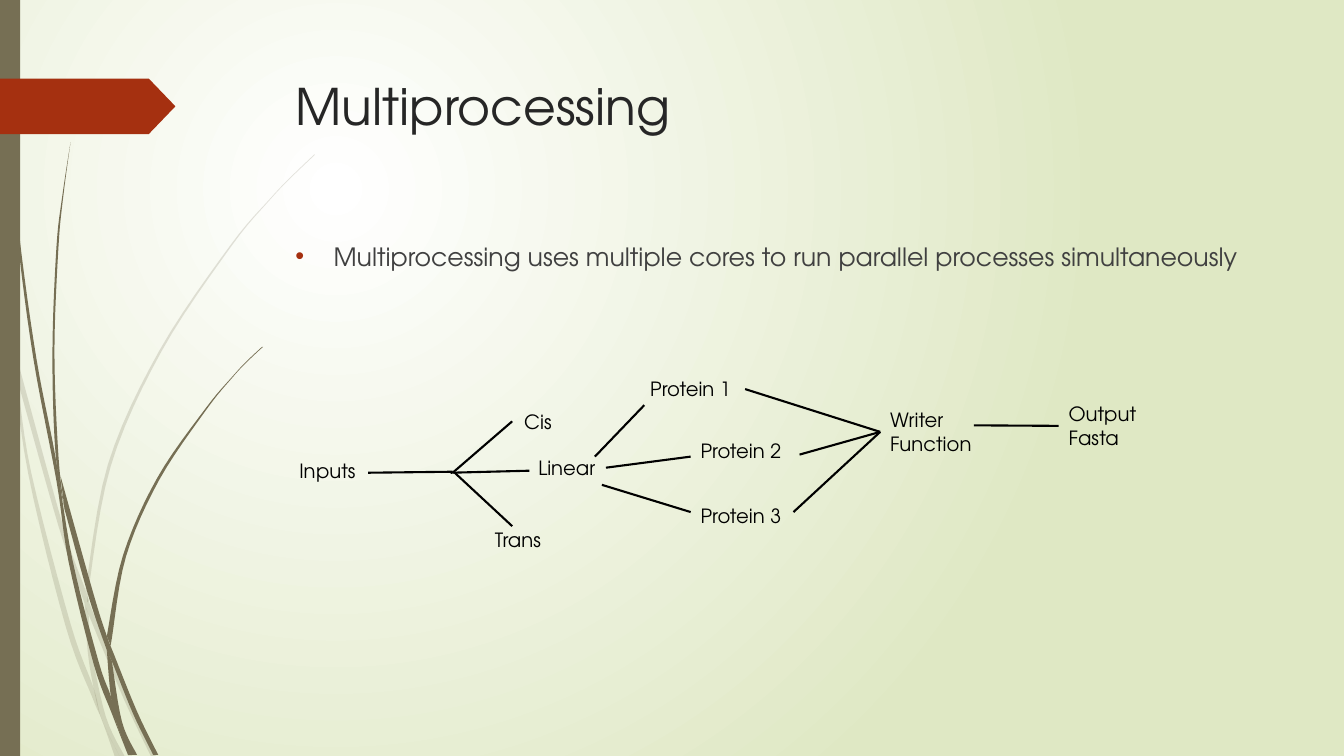
import pptx
import pptx.dml.color
import pptx.enum.dml
import pptx.enum.shapes
import pptx.enum.text
import pptx.oxml
import pptx.oxml.ns
import pptx.util
from lxml import etree

Inches = pptx.util.Inches
Pt = pptx.util.Pt
SHAPE = pptx.enum.shapes.MSO_SHAPE
FONT = "TeX Gyre Adventor"
OLIVE, RED, BLACK = "766F54", "A53010", "000000"

TITLE = "Multiprocessing"
BULLET = "Multiprocessing uses multiple cores to run parallel processes simultaneously"

# step: (left, top, height); "\v" breaks the line
STEPS = {
    "Inputs": (2.87, 4.5, 0.34),
    "Cis": (5.1, 4.02, 0.34),
    "Linear": (5.24, 4.47, 0.34),
    "Trans": (4.81, 5.19, 0.34),
    "Protein 1": (6.35, 3.69, 0.34),
    "Protein 2": (6.85, 4.31, 0.34),
    "Protein 3": (6.85, 4.95, 0.34),
    "Writer\vFunction": (8.73, 4.0, 0.57),
    "Output Fasta": (10.5, 3.94, 0.57),
}
STEP_WIDTH = 1.01

# (start, end), where an end is a point or the step whose left side is met
LINKS = [
    ((3.65, 4.69), (4.49, 4.68)),
    ((4.49, 4.69), (5.08, 4.18)),
    ((4.47, 4.69), (5.25, 4.67)),
    ((4.51, 4.69), (5.08, 5.22)),
    ((5.9, 4.53), (6.39, 4.02)),
    ((6.01, 4.64), (6.85, 4.53)),
    ((5.97, 4.81), (6.85, 5.08)),
    ((7.39, 3.86), "Writer\vFunction"),
    ((7.93, 4.51), "Writer\vFunction"),
    ((7.87, 5.08), "Writer\vFunction"),
    ((9.66, 4.22), "Output Fasta"),
]

# each blade of grass: its two edges, both from tip to root
PALE_BLADES = [
    ([(0, 2.82), (0.09, 3.22), (0.17, 3.76), (0.31, 4.69), (0.7, 6.19), (0.93, 6.83),
      (1.01, 7.14), (1.19, 7.51)],
     [(0, 2.99), (0.1, 3.44), (0.28, 4.7), (0.65, 6.21), (0.92, 6.93), (1.01, 7.14),
      (1.14, 7.51)]),
    ([(0.14, 3.45), (0.62, 5.2), (0.85, 5.86), (0.92, 6.07), (1.27, 6.92), (1.55, 7.51)],
     [(0.17, 3.76), (0.58, 5.22), (0.84, 5.99), (0.88, 6.1), (1.23, 6.94), (1.5, 7.51)]),
    ([(3.12, 1.53), (2.89, 1.75), (2.68, 1.97), (2.28, 2.44), (1.58, 3.48), (1.07, 4.61),
      (0.85, 5.84)],
     [(3.12, 1.54), (2.9, 1.75), (2.68, 1.98), (2.29, 2.45), (1.6, 3.49), (1.1, 4.62),
      (0.88, 5.84), (0.88, 5.96)]),
    ([(0.84, 5.99), (0.87, 6.46), (0.93, 6.83), (1.01, 7.14), (1.19, 7.51)],
     [(0.88, 6.1), (0.91, 6.46), (1.05, 7.11), (1.24, 7.51)]),
]
DARK_BLADES = [
    ([(0.04, 0), (0.05, 0.48), (0.08, 1.09), (0.19, 2.32), (0.36, 3.55), (0.55, 4.53),
      (0.72, 5.56), (0.98, 6.57), (1.1, 6.91), (1.17, 7.22), (1.31, 7.49)],
     [(0.03, 0), (0.04, 0.48), (0.07, 1.1), (0.17, 2.33), (0.33, 3.55), (0.56, 4.77),
      (0.68, 5.57), (0.93, 6.59), (1.11, 7.08), (1.27, 7.49)]),
    ([(0.6, 4.72), (0.93, 5.9), (1.06, 6.31), (1.13, 6.49), (1.36, 7.06), (1.57, 7.49)],
     [(0.64, 5.05), (0.88, 5.92), (1.06, 6.45), (1.11, 6.56), (1.32, 7.08), (1.52, 7.49)]),
    ([(0.7, 1.41), (0.62, 1.93), (0.56, 2.45), (0.52, 3.49), (0.55, 4.49), (0.64, 5.05)],
     [(0.7, 1.41), (0.63, 1.93), (0.58, 2.45), (0.54, 3.49), (0.58, 4.53), (0.64, 5.05)]),
    ([(2.6, 3.44), (2.45, 3.58), (2.31, 3.73), (2.04, 4.05), (1.56, 4.74), (1.22, 5.51),
      (1.06, 6.31)],
     [(2.61, 3.44), (2.45, 3.59), (2.31, 3.74), (2.05, 4.06), (1.58, 4.76), (1.25, 5.52),
      (1.11, 6.33), (1.1, 6.41)]),
    ([(1.06, 6.45), (1.1, 6.91), (1.17, 7.22), (1.3, 7.49)],
     [(1.11, 6.56), (1.21, 7.16), (1.36, 7.49)]),
]


def rgb(color):
    return pptx.dml.color.RGBColor.from_string(color)


def add_xml(parent, tag, **attributes):
    return etree.SubElement(parent, pptx.oxml.ns.qn(tag), attributes)


def paint(shape, color, opacity=100):
    shape.shadow.inherit = False
    shape.fill.solid()
    shape.fill.fore_color.rgb = rgb(color)
    shape.line.fill.background()
    if opacity < 100:
        solid = shape.fill._xPr.find(pptx.oxml.ns.qn("a:solidFill"))
        add_xml(solid[0], "a:alpha", val=str(opacity * 1000))


def smooth(edge, steps=6):
    """Points, in EMU, of a Catmull-Rom curve through the edge."""
    edge = [tuple(map(Inches, point)) for point in edge]
    padded = [edge[0], *edge, edge[-1]]
    points = [edge[0]]
    for a, b, c, d in zip(padded, padded[1:], padded[2:], padded[3:]):
        for step in range(1, steps + 1):
            t = step / steps
            points.append(tuple(
                q + t / 2 * (r - p + t * (2 * p - 5 * q + 4 * r - s + t * (3 * q - p - 3 * r + s)))
                for p, q, r, s in zip(a, b, c, d)))
    return points


def add_blade(slide, edges, opacity):
    first, second = map(smooth, edges)
    outline = first + second[::-1]
    builder = slide.shapes.build_freeform(*outline[0])
    builder.add_line_segments(outline[1:], close=True)
    paint(builder.convert_to_shape(), OLIVE, opacity)


def write(shape, text, size, color):
    frame = shape.text_frame
    frame.text = text
    settings = {"word_wrap": True, "vertical_anchor": pptx.enum.text.MSO_ANCHOR.TOP}
    for name, value in settings.items():
        setattr(frame, name, value)
    paragraph = frame.paragraphs[0]
    paragraph.alignment = pptx.enum.text.PP_ALIGN.LEFT
    for run in paragraph.runs:
        for name, value in {"name": FONT, "size": Pt(size)}.items():
            setattr(run.font, name, value)
        run.font.color.rgb = rgb(color)
    return paragraph


def fill_background(slide):
    fill = slide.background.fill
    fill.gradient()
    for stop, color in zip(fill.gradient_stops, ("FFFFFF", "DFE8C4")):
        stop.color.rgb = rgb(color)
    gradient = fill._xPr.find(pptx.oxml.ns.qn("a:gradFill"))
    gradient.remove(gradient.find(pptx.oxml.ns.qn("a:lin")))
    circle = add_xml(gradient, "a:path", path="circle")
    add_xml(circle, "a:fillToRect", l="50000", t="50000", r="100000", b="100000")


def add_link(slide, start, end, boxes):
    target = (0, 0) if end in boxes else end
    link = slide.shapes.add_connector(pptx.enum.shapes.MSO_CONNECTOR.STRAIGHT,
                                      *map(Inches, start + target))
    if end in boxes:
        link.end_connect(boxes[end], 1)
    link.line.color.rgb = rgb(BLACK)
    link.line.width = Pt(1.5)
    add_xml(link._element.spPr, "a:effectLst")


def main():
    deck = pptx.Presentation()
    deck.slide_width, deck.slide_height = Inches(13.33), Inches(7.5)
    slide = deck.slides.add_slide(deck.slide_layouts[5])
    shapes = slide.shapes
    fill_background(slide)

    for blades, opacity in ((PALE_BLADES, 20), (DARK_BLADES, 100)):
        for edges in blades:
            add_blade(slide, edges, opacity)
    paint(shapes.add_shape(SHAPE.RECTANGLE, 0, 0, Inches(0.2), Inches(7.5)), OLIVE)
    tab = shapes.add_shape(SHAPE.PENTAGON, 0, Inches(0.78), Inches(1.74), Inches(0.55))
    tab.adjustments[0] = 0.48
    paint(tab, RED)

    title = shapes.title
    place = {"left": 2.83, "top": 0.69, "width": 9.75, "height": 1.4}
    for name, value in place.items():
        setattr(title, name, Inches(value))
    write(title, TITLE, 36, "262626")

    body = shapes.add_textbox(*map(Inches, (2.83, 2.34, 9.75, 4.13)))
    point = write(body, BULLET, 18, "404040")
    point.space_before = Pt(10)
    properties = point._p.get_or_add_pPr()
    properties.set("marL", str(Inches(0.38)))
    properties.set("indent", str(-Inches(0.38)))
    add_xml(add_xml(properties, "a:buClr"), "a:srgbClr", val=RED)
    add_xml(properties, "a:buFont", typeface="Arial")
    add_xml(properties, "a:buChar", char="•")

    boxes = {}
    for step, (left, top, height) in STEPS.items():
        boxes[step] = shapes.add_textbox(*map(Inches, (left, top, STEP_WIDTH, height)))
        write(boxes[step], step, 14, BLACK)
        boxes[step].text_frame.auto_size = pptx.enum.text.MSO_AUTO_SIZE.SHAPE_TO_FIT_TEXT
    for start, end in LINKS:
        add_link(slide, start, end, boxes)

    deck.save("out.pptx")


if __name__ == "__main__":
    main()
